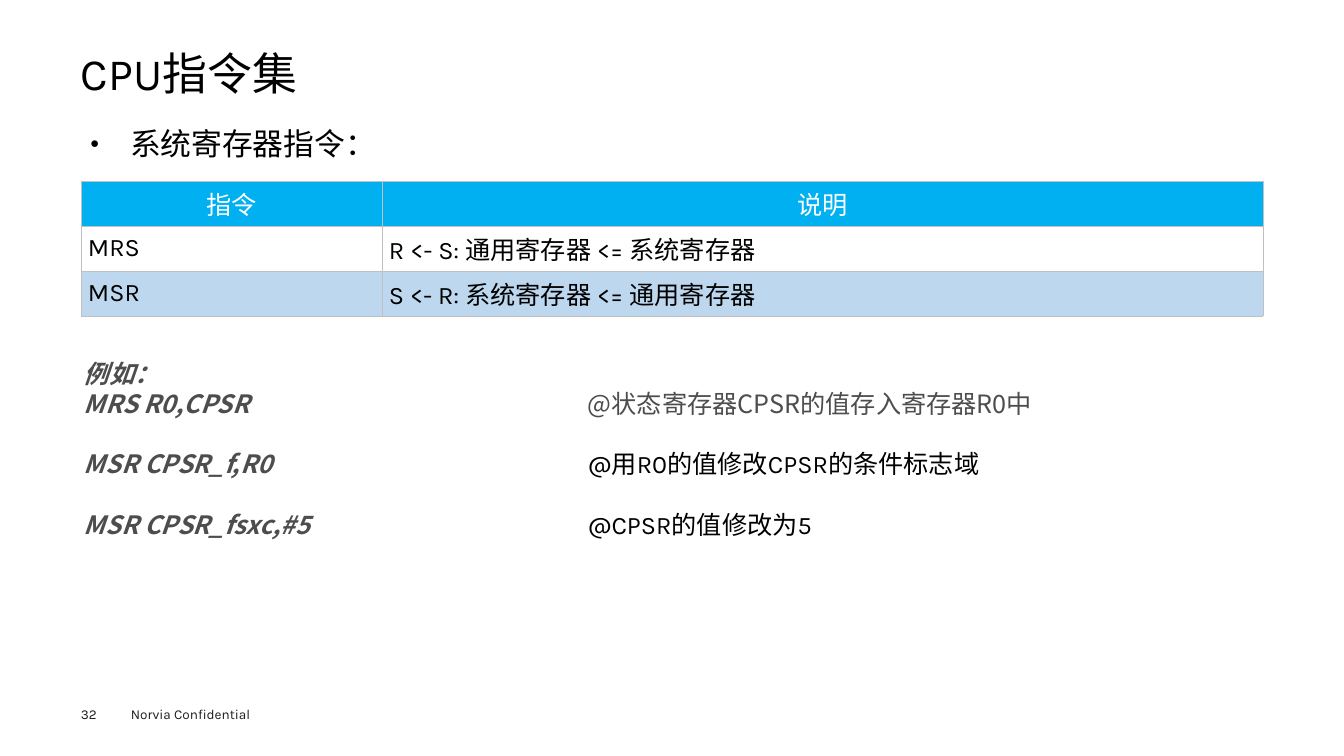
from lxml.etree import SubElement as Sub
from pptx import Presentation
from pptx.dml.color import RGBColor
from pptx.enum.text import MSO_ANCHOR as Anchor, MSO_AUTO_SIZE as Auto, PP_ALIGN as Align
from pptx.oxml.ns import qn
from pptx.util import Pt

SCALE = 914400 / 100.8
LATIN, HAN = "Karla", "Noto Sans CJK SC"
BLACK, GREY, WHITE, INK = "000000", "4D4D4D", "FFFFFF", "1D1D1B"
BLUE, PALE, EDGE = "00B0F0", "BDD7EE", "C0C0C0"

ROWS = [
    ("指令", "说明"),
    ("MRS", "R <- S: 通用寄存器 <= 系统寄存器"),
    ("MSR", "S <- R: 系统寄存器 <= 通用寄存器"),
]
CODE = [
    ("MRS R0,CPSR", "@状态寄存器CPSR的值存入寄存器R0中", HAN, GREY),
    ("MSR CPSR_f,R0", "@用R0的值修改CPSR的条件标志域", LATIN, BLACK),
    ("MSR CPSR_fsxc,#5", "@CPSR的值修改为5", LATIN, BLACK),
]


def px(n):
    return round(n * SCALE)


def rgb(code):
    return RGBColor.from_string(code)


def style(font, size, color, name=LATIN, strong=False):
    """Set the Latin and East Asian faces; strong means bold italic."""
    font.size, font.name = Pt(size), name
    font.bold = font.italic = strong
    font.color.rgb = rgb(color)
    Sub(font._rPr, qn("a:ea"), typeface=HAN)


def place(shape, left, top, width, height):
    shape.left, shape.top = px(left), px(top)
    shape.width, shape.height = px(width), px(height)


def inset(box, side, edge):
    """Set the margins of a text frame or a table cell."""
    box.margin_left = box.margin_right = px(side)
    box.margin_top = box.margin_bottom = px(edge)


def add_box(slide, *area):
    frame = slide.shapes.add_textbox(*map(px, area)).text_frame
    frame.word_wrap = True
    return frame


def add_title(slide, text):
    shape = slide.shapes.title
    place(shape, 81, 49, 1182, 53)
    frame = shape.text_frame
    frame.auto_size = Auto.NONE
    frame.vertical_anchor = Anchor.MIDDLE
    inset(frame, 0, 0)
    para = frame.paragraphs[0]
    para.text, para.alignment, para.line_spacing = text, Align.LEFT, 0.9
    style(para.font, 32, BLACK)


def add_list(slide, text):
    shape = slide.placeholders[1]
    place(shape, 81, 116, 1182, 538)
    frame = shape.text_frame
    frame.auto_size = Auto.NONE
    inset(frame, 9, 4)
    para = frame.paragraphs[0]
    para.text, para.alignment = text, Align.JUSTIFY
    para.line_spacing, para.space_before = Pt(30), Pt(0)
    props = para._p.get_or_add_pPr()
    props.set("marL", str(px(40)))
    props.set("indent", str(px(-40)))
    Sub(props, qn("a:buSzPct"), val="50000")
    Sub(props, qn("a:buChar"), char="●")
    style(para.font, 22, BLACK)


def add_edges(cell):
    props = cell._tc.get_or_add_tcPr()
    for side in "LRTB":
        line = Sub(props, qn(f"a:ln{side}"), w=str(Pt(0.38)))
        Sub(Sub(line, qn("a:solidFill")), qn("a:srgbClr"), val=EDGE)


def add_grid(slide):
    frame = slide.shapes.add_table(len(ROWS), 2, px(81), px(181), px(1182), px(135))
    table = frame.table
    table.first_row = table.horz_banding = False
    for col, width in zip(table.columns, (301, 881)):
        col.width = px(width)
    for i, (row, fill) in enumerate(zip(ROWS, (BLUE, None, PALE))):
        table.rows[i].height = px(45)
        for j, text in enumerate(row):
            cell = table.cell(i, j)
            add_edges(cell)
            if fill:
                cell.fill.solid()
                cell.fill.fore_color.rgb = rgb(fill)
            else:
                cell.fill.background()
            inset(cell, 7, 4)
            cell.vertical_anchor = Anchor.MIDDLE
            para = cell.text_frame.paragraphs[0]
            para.text = text
            para.alignment = Align.LEFT if i else Align.CENTER
            style(para.font, 18, BLACK if i else WHITE)


def add_code(slide):
    frame = add_box(slide, 74, 353, 1189, 194)
    head = frame.paragraphs[0]
    head.text, head.line_spacing = "例如：", Pt(21.6)
    style(head.font, 18, GREY, HAN, True)
    for i, (code, note, face, color) in enumerate(CODE):
        para = frame.add_paragraph()
        para.line_spacing = Pt(21.6)
        para.space_before = Pt(21.6 if i else 0)
        tabs = Sub(para._p.get_or_add_pPr(), qn("a:tabLst"))
        Sub(tabs, qn("a:tab"), pos=str(px(504)), algn="l")
        for text, name, tint, strong in (
            (code, HAN, GREY, True),
            ("\t" + note, face, color, False),
        ):
            run = para.add_run()
            run.text = text
            style(run.font, 18, tint, name, strong)


def add_foot(slide):
    number = add_box(slide, 81, 706, 55, 16)
    inset(number, 0, 0)
    mark = add_box(slide, 121, 701, 161, 27)
    for frame, text in ((number, "32"), (mark, "Norvia Confidential")):
        para = frame.paragraphs[0]
        para.text = text
        style(para.font, 9.7, INK)


def main():
    deck = Presentation()
    deck.slide_width, deck.slide_height = px(1344), px(756)
    slide = deck.slides.add_slide(deck.slide_layouts[1])
    add_title(slide, "CPU指令集")
    add_list(slide, "系统寄存器指令：")
    add_grid(slide)
    add_code(slide)
    add_foot(slide)
    deck.save("out.pptx")


if __name__ == "__main__":
    main()
